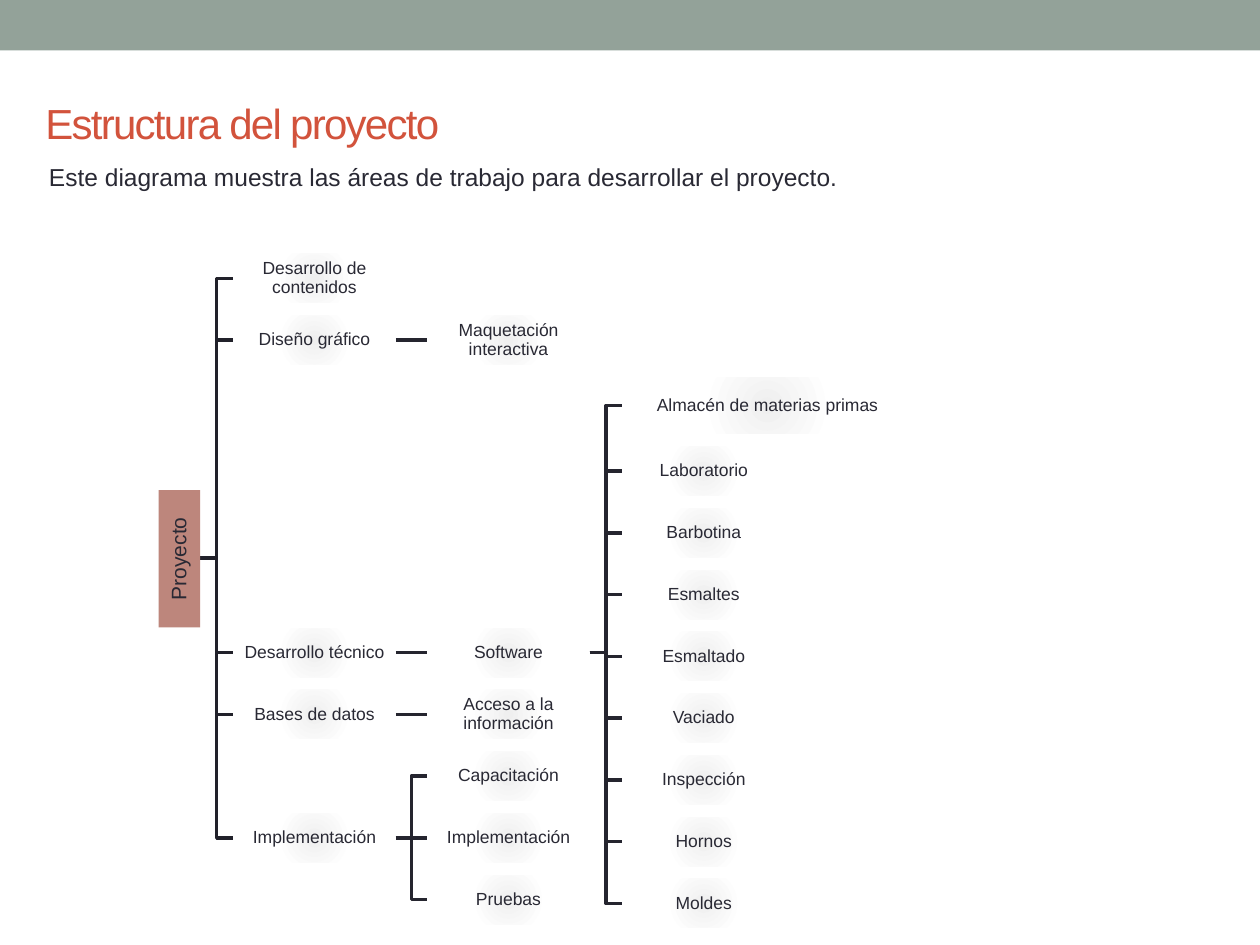
from lxml import etree
from pptx import Presentation
from pptx.dml.color import RGBColor
from pptx.enum.shapes import MSO_CONNECTOR, MSO_SHAPE
from pptx.enum.text import MSO_ANCHOR, PP_ALIGN
from pptx.oxml import parse_xml
from pptx.oxml.ns import qn
from pptx.util import Inches, Pt

RECTANGLE = MSO_SHAPE.RECTANGLE
STRAIGHT, ELBOW = MSO_CONNECTOR.STRAIGHT, MSO_CONNECTOR.ELBOW
MIDDLE = MSO_ANCHOR.MIDDLE
LEFT, CENTER, JUSTIFY = PP_ALIGN.LEFT, PP_ALIGN.CENTER, PP_ALIGN.JUSTIFY

SAGE = RGBColor(0x93, 0xA2, 0x99)
BRICK = RGBColor(0xD2, 0x53, 0x3C)
ROSE = RGBColor(0xBD, 0x86, 0x7C)
INK = RGBColor(0x29, 0x29, 0x34)
TRUNK = RGBColor(0x21, 0x21, 0x2A)
BRANCH = RGBColor(0x25, 0x25, 0x2F)

GLOW = (
    '<a:gradFill xmlns:a="http://schemas.openxmlformats.org/drawingml/2006/main" rotWithShape="1">'
    '<a:gsLst><a:gs pos="0"><a:srgbClr val="EFEFEF"/></a:gs>'
    '<a:gs pos="45000"><a:srgbClr val="FFFFFF"/></a:gs>'
    '<a:gs pos="100000"><a:srgbClr val="FFFFFF"/></a:gs></a:gsLst>'
    '<a:path path="circle"><a:fillToRect l="100000" t="100000" r="100000" b="100000"/></a:path>'
    '</a:gradFill>'
)

PITCH = 0.49
UPPER, LOWER, AREAS = 2.21, 5.18, 3.74
ROOT_X, ROOT_Y = 1.59, 4.43
COLUMN_1, COLUMN_2, COLUMN_3 = 1.85, 3.39, 4.94
NODE_W, NODE_H = 1.29, 0.39

areas = ["Laboratorio", "Barbotina", "Esmaltes", "Esmaltado",
         "Vaciado", "Inspección", "Hornos", "Moldes"]

branches = [
    (ROOT_X, ROOT_Y, TRUNK, COLUMN_1, [
        ("Desarrollo de contenidos", UPPER),
        ("Diseño gráfico", UPPER + PITCH),
        ("Desarrollo técnico", LOWER),
        ("Bases de datos", LOWER + PITCH),
        ("Implementación", LOWER + 3 * PITCH),
    ]),
    (COLUMN_1 + NODE_W, UPPER + PITCH, BRANCH, COLUMN_2,
     [("Maquetación interactiva", UPPER + PITCH)]),
    (COLUMN_1 + NODE_W, LOWER, BRANCH, COLUMN_2, [("Software", LOWER)]),
    (COLUMN_1 + NODE_W, LOWER + PITCH, BRANCH, COLUMN_2,
     [("Acceso a la información", LOWER + PITCH)]),
    (COLUMN_1 + NODE_W, LOWER + 3 * PITCH, BRANCH, COLUMN_2, [
        (name, LOWER + row * PITCH)
        for row, name in enumerate(["Capacitación", "Implementación", "Pruebas"], 2)
    ]),
    (COLUMN_2 + NODE_W, LOWER, BRANCH, COLUMN_3,
     [("Almacén de materias primas", 3.22)]
     + [(name, AREAS + row * PITCH) for row, name in enumerate(areas)]),
]
node_sizes = {"Almacén de materias primas": (2.3, 0.44)}


def add_box(left, top, width, height, color=None):
    box = slide.shapes.add_shape(
        RECTANGLE, Inches(left), Inches(top), Inches(width), Inches(height))
    box.shadow.inherit = False
    box.line.fill.background()
    if color is None:
        box.fill.background()
        no_fill = box._element.spPr.find(qn("a:noFill"))
        no_fill.getparent().replace(no_fill, parse_xml(GLOW))
    else:
        box.fill.solid()
        box.fill.fore_color.rgb = color
    return box


def write(shape, text, size, color, align, spacing=None):
    frame = shape.text_frame
    frame.word_wrap = True
    paragraph = frame.paragraphs[0]
    paragraph.alignment = align
    paragraph.line_spacing = spacing
    run = paragraph.add_run()
    run.text = text
    for key, value in {"name": "Arial", "size": Pt(size)}.items():
        setattr(run.font, key, value)
    run.font.color.rgb = color
    return run


prs = Presentation()
prs.slide_width, prs.slide_height = Inches(10), Inches(7.5)
slide = prs.slides.add_slide(prs.slide_layouts[5])

add_box(0, 0, 10, 0.4, SAGE)

for start_x, start_y, color, column, children in branches:
    for name, y in children:
        kind = STRAIGHT if y == start_y else ELBOW
        link = slide.shapes.add_connector(
            kind, Inches(start_x), Inches(start_y), Inches(column), Inches(y))
        link.line.color.rgb = color
        link.line.width = Pt(2.08)
        etree.SubElement(link._element.spPr, qn("a:effectLst"))

project = add_box(0.88, 4.27, 1.09, 0.33, ROSE)
project.rotation = 270
nodes = [(project, "Proyecto", 12)]
for start_x, start_y, color, column, children in branches:
    for name, y in children:
        width, height = node_sizes.get(name, (NODE_W, NODE_H))
        nodes.append((add_box(column, y - height / 2, width, height), name, 10))

for node, name, size in nodes:
    write(node, name, size, INK, CENTER, 0.9)
    node.text_frame.vertical_anchor = MIDDLE
    for side in ("left", "top", "right", "bottom"):
        setattr(node.text_frame, "margin_" + side, Inches(0.01))

title = slide.shapes.title
title.left, title.top, title.width, title.height = map(Inches, (0.26, 0.65, 7.57, 0.64))
title.text_frame.vertical_anchor = MIDDLE
heading = write(title, "Estructura del proyecto", 24, BRICK, LEFT)
heading.font._element.set("spc", "-100")

intro = slide.shapes.add_textbox(Inches(0.29), Inches(1.24), Inches(8.91), Inches(0.34))
write(intro, "Este diagrama muestra las áreas de trabajo para desarrollar el proyecto.",
      14, INK, JUSTIFY)

prs.save("out.pptx")
